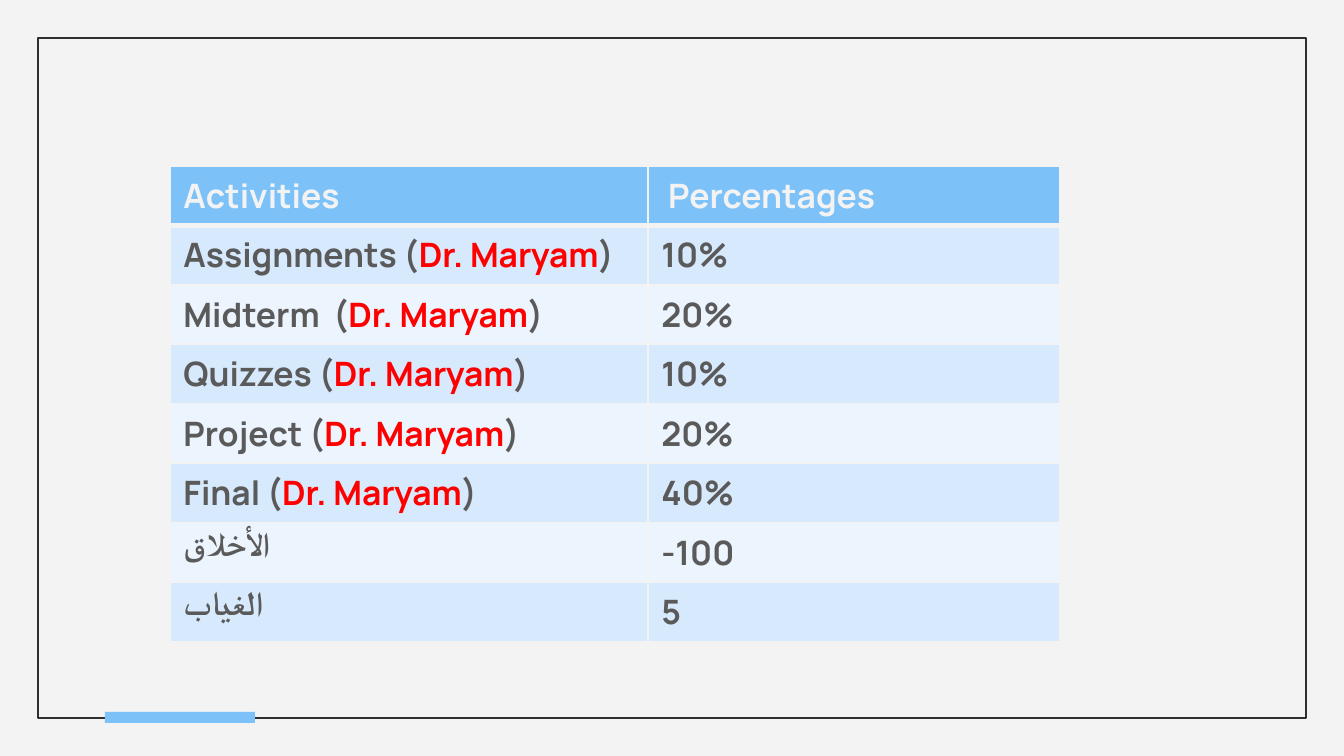
import pptx
import pptx.dml.color
import pptx.enum.shapes
import pptx.oxml
import pptx.oxml.ns
import pptx.util

PX = 914400 / 134.4
FONT = "Manrope"
PAPER, INK, BLUE, GREY, RED = "F3F3F3", "312D2D", "7CC2F8", "5B5A5B", "FF0000"
BANDS = ["D7E9FC", "ECF4FE"]
TEACHER = "Dr. Maryam"
HEADER = ["Activities", " Percentages"]
GRADES = [
    ("Assignments (", TEACHER, "10%"),
    ("Midterm  (", TEACHER, "20%"),
    ("Quizzes (", TEACHER, "10%"),
    ("Project (", TEACHER, "20%"),
    ("Final (", TEACHER, "40%"),
    ("الأخلاق", None, "-100"),
    ("الغياب", None, "5"),
]


def px(n):
    return pptx.util.Emu(round(n * PX))


def rgb(color):
    return pptx.dml.color.RGBColor.from_string(color)


def add_rect(s, x, y, w, h, fill=None, line=None):
    sp = s.shapes.add_shape(pptx.enum.shapes.MSO_SHAPE.RECTANGLE, px(x), px(y), px(w), px(h))
    sp.shadow.inherit = False
    if fill:
        sp.fill.solid()
        sp.fill.fore_color.rgb = rgb(fill)
    else:
        sp.fill.background()
    if line:
        sp.line.color.rgb = rgb(line)
        sp.line.width = pptx.util.Pt(0.75)
    else:
        sp.line.fill.background()


def add_frame(s, x, y, w, h):
    """Outlined page border with an accent bar on its bottom edge."""
    add_rect(s, x, y, w, h, line=INK)
    add_rect(s, x + 67, y + h - 6, 150, 11, fill=BLUE)


def set_borders(cell, bottom):
    tcPr = cell._tc.get_or_add_tcPr()
    for i, (side, width) in enumerate([("L", 1), ("R", 1), ("T", 1), ("B", bottom)]):
        tcPr.insert(i, pptx.oxml.parse_xml(
            f'<a:ln{side} {pptx.oxml.ns.nsdecls("a")} w="{width * 12700}">'
            f'<a:solidFill><a:srgbClr val="{PAPER}"/></a:solidFill></a:ln{side}>'))


def fill_cell(cell, runs, fill, bottom=1):
    """Write (text, colour) runs into a cell with its fill and borders."""
    cell.fill.solid()
    cell.fill.fore_color.rgb = rgb(fill)
    set_borders(cell, bottom)
    p = cell.text_frame.paragraphs[0]
    p.font.name, p.font.size, p.font.bold = FONT, pptx.util.Pt(18), True
    for text, color in runs:
        r = p.add_run()
        r.text = text
        r.font.color.rgb = rgb(color)


def add_grades(s, x, y, w, h):
    rows = len(GRADES) + 1
    table = s.shapes.add_table(rows, 2, px(x), px(y), px(w), px(h)).table
    table.columns[0].width = px(478)
    table.columns[1].width = px(w - 478)
    for row in table.rows:
        row.height = px(h / rows)
    for col, title in enumerate(HEADER):
        fill_cell(table.cell(0, col), [(title, PAPER)], BLUE, bottom=3)
    for i, (activity, teacher, share) in enumerate(GRADES):
        runs = [(activity, GREY)]
        if teacher:
            runs += [(teacher, RED), (")", GREY)]
        band = BANDS[i % 2]
        fill_cell(table.cell(i + 1, 0), runs, band)
        fill_cell(table.cell(i + 1, 1), [(share, GREY)], band)


def main():
    prs = pptx.Presentation()
    prs.slide_width, prs.slide_height = px(1344), px(756)
    s = prs.slides.add_slide(prs.slide_layouts[6])
    s.background.fill.solid()
    s.background.fill.fore_color.rgb = rgb(PAPER)
    add_frame(s, 38, 38, 1268, 680)
    add_grades(s, 170, 166, 890, 436)
    prs.save("out.pptx")


if __name__ == "__main__":
    main()
